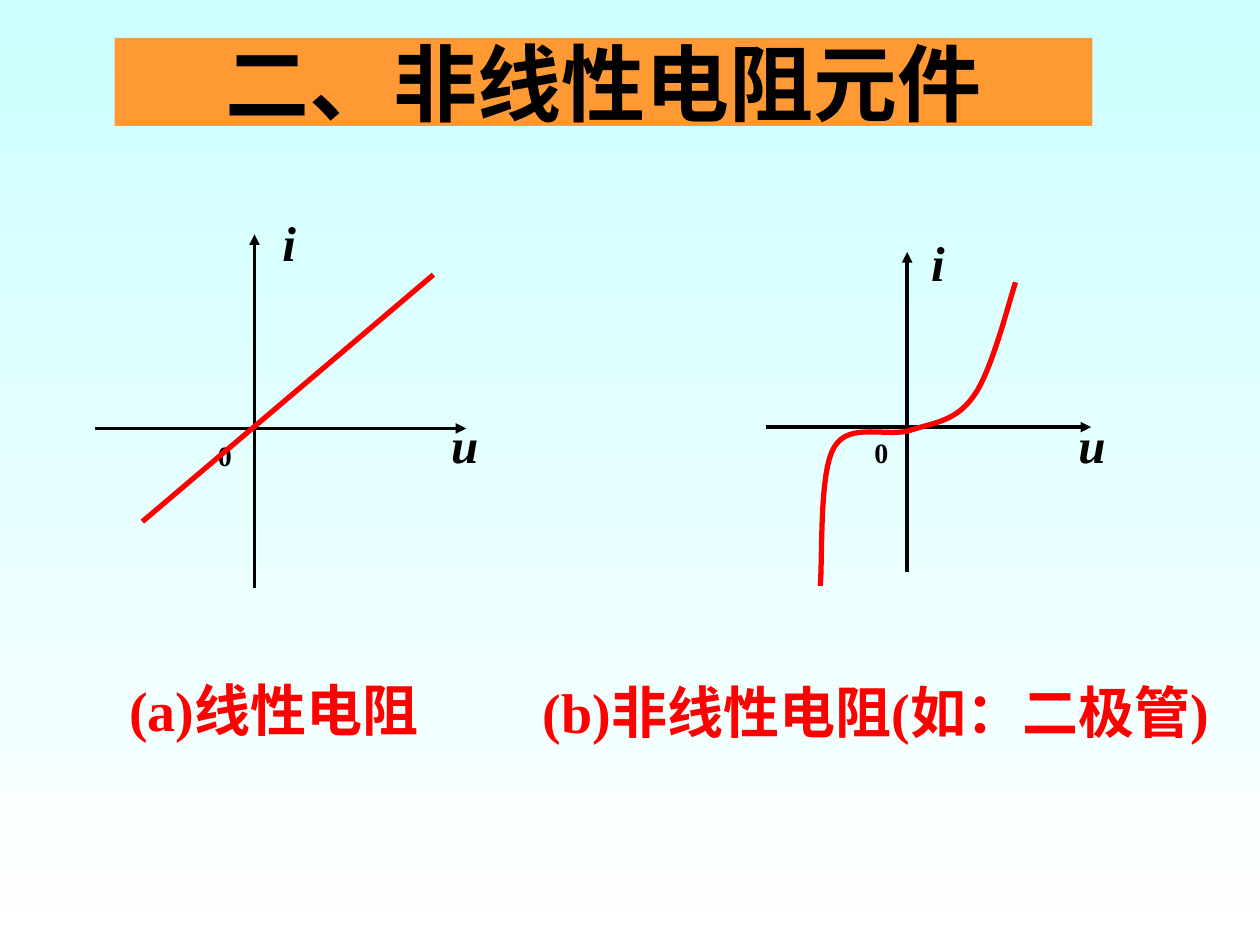
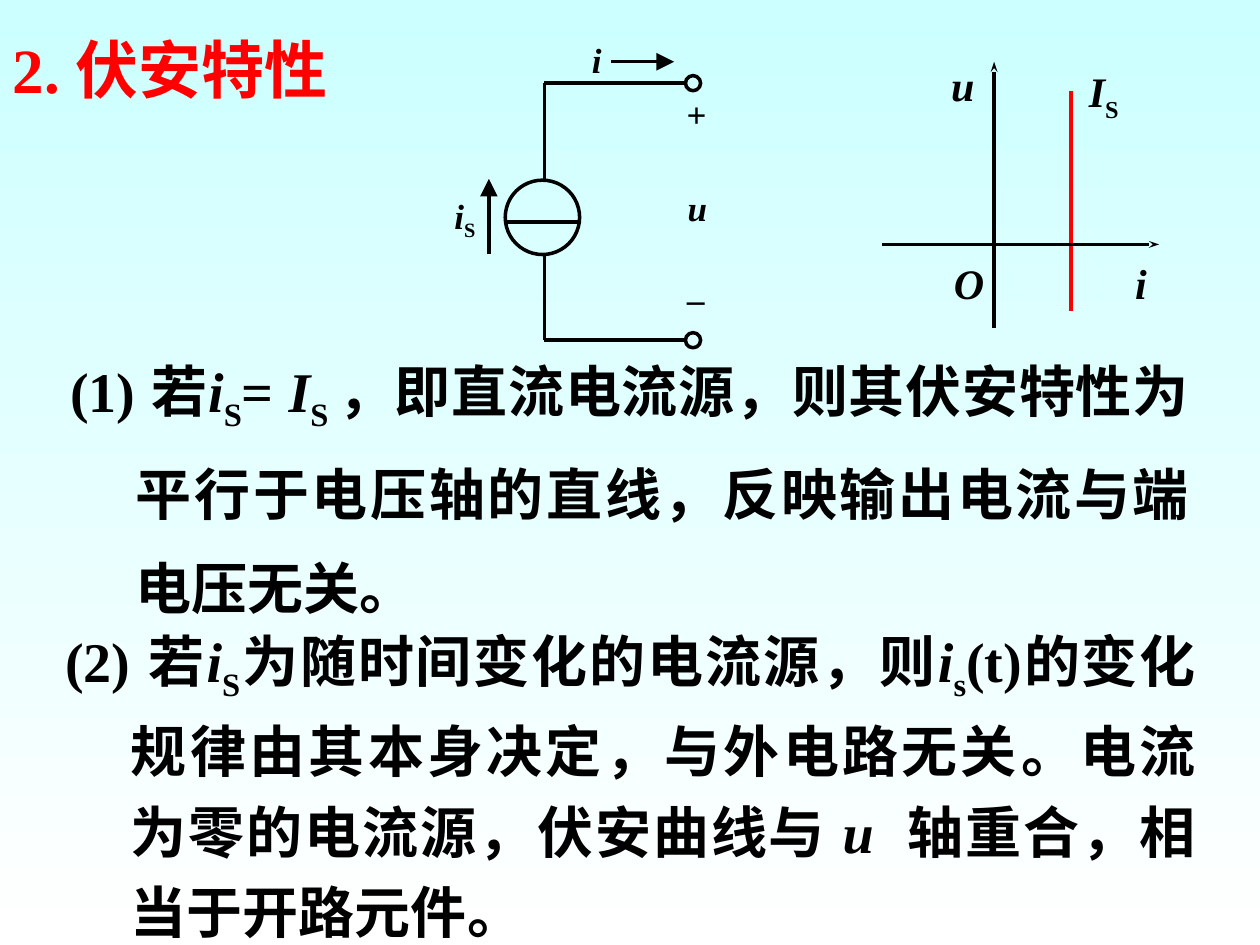
from lxml import etree
from pptx import Presentation
from pptx import util as u
from pptx.dml.color import RGBColor
from pptx.enum import shapes, text
from pptx.oxml.ns import qn

SKY = RGBColor(0xCC, 0xFF, 0xFF)
WHITE = RGBColor(0xFF, 0xFF, 0xFF)
ORANGE = RGBColor(0xFF, 0x99, 0x33)
BLACK = RGBColor(0, 0, 0)
RED = RGBColor(0xFF, 0, 0)
LATIN = "Times New Roman"
HAN = "Noto Sans CJK SC"

SLIDE_WIDTH, SLIDE_HEIGHT = u.Inches(10), u.Inches(7.5)
COLUMNS = 100
CELL = SLIDE_WIDTH // COLUMNS

LEFT, CENTER, JUSTIFY = text.PP_ALIGN.LEFT, text.PP_ALIGN.CENTER, text.PP_ALIGN.JUSTIFY
MIDDLE, TOP = text.MSO_ANCHOR.MIDDLE, text.MSO_ANCHOR.TOP
RUN_STYLES = {
    "plain": {},
    "italic": {"italic": True},
    "sub": {"baseline": -25000},
    "han": {"name": HAN},
}
ARROWS = {
    "axis": {"type": "triangle", "w": "med", "len": "med"},
    "thin axis": {"type": "stealth", "w": "sm", "len": "med"},
    "current": {"type": "triangle", "w": "lg", "len": "lg"},
}

BANNER = ("二、非线性电阻元件", (9.1, 3, 77.6, 7))
CAPTIONS = [
    ("(a)线性电阻", (7.5, 53.1, 28.5, 6.4), CENTER),
    ("(b)非线性电阻(如：二极管)", (42.1, 53.3, 57.7, 11.7), LEFT),
]
RESISTOR_GRAPHS = [
    {
        "origin": (20.2, 34), "across": (7.5, 37), "up": (46.7, 18.6), "label_width": 4.2,
        "labels": [("u", 35.8, 32.4, 28), ("0", 17.3, 34.3, 16), ("i", 22.4, 16.4, 28)],
    },
    {
        "origin": (72, 33.9), "across": (60.8, 86.6), "up": (45.4, 20), "label_width": 3.6,
        "labels": [("u", 85.6, 32.4, 28), ("0", 69.4, 34.1, 16), ("i", 73.9, 18, 28)],
    },
]
LABEL_HEIGHTS = {28: 5.7, 16: 3.7}
LINEAR_CURVE = ((34.4, 21.8), (11.3, 41.4))
DIODE_CURVE = [
    (80.6, 22.4), (80.1, 23.9), (78.7, 29.5), (77.3, 31.4),
    (75.9, 33.4), (74.3, 33.5), (72.4, 34.1),
    (70.6, 34.8), (67.4, 33.4), (66.2, 35.5),
    (65, 37.5), (65.3, 44.2), (65.1, 46.5),
]
STEPS_PER_CURVE = 16

HEADING = ("2. 伏安特性", (-0.6, 1.9, 28.2, 7))
STATEMENTS = [
    {
        "box": (4.6, 25.3, 90.8, 24.5), "spacing": 1.4,
        "runs": [
            ("(1) 若", "plain"), ("i", "italic"), ("S", "sub"), ("= ", "plain"),
            ("I", "italic"), ("S ", "sub"),
            ("，即直流电流源，则其伏安特性为平行于电压轴的直线，反映输出电流与端电压无关。", "plain"),
        ],
    },
    {
        "box": (4.2, 48, 91.7, 27.5), "spacing": 1.2,
        "runs": [
            ("(2) 若", "plain"), ("i", "italic"), ("S", "sub"),
            ("为随时间变化的电流源，则", "plain"), ("i", "italic"), ("s", "sub"),
            ("(t)的变化规律由其本身决定，与外电路无关", "plain"), ("。", "han"),
            ("电流为零的电流源，伏安曲线与 ", "plain"), ("u  ", "italic"),
            ("轴重合，相当于开路元件", "plain"), ("。", "han"),
        ],
    },
]
SOURCE_GRAPH = {"origin": (78.9, 19.4), "across": (70, 92), "up": (26, 4.9)}
SOURCE_GRAPH_LABELS = [
    ("u", (74.5, 4.2, 3.8, 5)),
    ("i", (89.1, 19.9, 2.9, 5)),
    ("O", (74.7, 19.9, 4.4, 5)),
]
CONSTANT_CURRENT = ((85, 24.7), (85, 7.2))
CONSTANT_LABEL_BOX = (84.1, 4.8, 7, 5.4)

WIRE_LEFT, WIRE_RIGHT = 43.2, 54.4
WIRE_TOP, WIRE_BOTTOM = 6.6, 27
SOURCE_RING = (40.1, 14.3, 5.9)
SOURCE_BAR = 17.6
TERMINAL = 1.2
CURRENT_ARROWS = [((48.5, 4.9), (53.5, 4.9)), ((38.8, 20.2), (38.8, 14.2))]
CIRCUIT_LABELS = [
    ([("i", "italic"), ("S", "sub")], (33.9, 14.9, 6, 4.8), 0),
    ([("i", "italic")], (46, 2.5, 2.7, 4.4), 0),
    ([("u", "italic")], (53.6, 14.3, 3.5, 4.4), 0),
    ([("+", "italic")], (53.5, 7.2, 3.6, 4.4), 180),
    ([("_", "italic")], (53.7, 20.5, 3.4, 4.4), 0),
]


def grid(*cells):
    return [round(cell * CELL) for cell in cells]


def set_all(target, values):
    for name, value in values.items():
        setattr(target, name, value)


def write(shape, runs, size, color=BLACK, align=CENTER, anchor=MIDDLE, wrap=True,
          inset=0.1, spacing=None, hanging=0, grow=True):
    frame = shape.text_frame
    set_all(frame, {
        "word_wrap": wrap, "vertical_anchor": anchor,
        "margin_left": u.Inches(inset), "margin_right": u.Inches(inset),
        "auto_size": text.MSO_AUTO_SIZE.SHAPE_TO_FIT_TEXT if grow else text.MSO_AUTO_SIZE.NONE,
    })
    paragraph = frame.paragraphs[0]
    set_all(paragraph, {"alignment": align, "line_spacing": spacing})
    if hanging:
        properties = paragraph._p.get_or_add_pPr()
        properties.set("marL", str(u.Inches(hanging)))
        properties.set("indent", str(-u.Inches(hanging)))
    for words, style in runs:
        run = paragraph.add_run()
        run.text = words
        values = {"name": LATIN, "size": u.Pt(size), "bold": True, "italic": False}
        values.update(RUN_STYLES[style])
        baseline = values.pop("baseline", None)
        set_all(run.font, values)
        run.font.color.rgb = color
        properties = run._r.get_or_add_rPr()
        etree.SubElement(properties, qn("a:ea"), typeface=HAN)
        if baseline:
            properties.set("baseline", str(baseline))


def add_text(canvas, runs, box, size, rotation=0, **options):
    shape = canvas.add_textbox(*grid(*box))
    shape.rotation = rotation
    write(shape, runs, size, **options)


def add_line(canvas, start, end, color=BLACK, width=2, arrow=None):
    line = canvas.add_connector(shapes.MSO_CONNECTOR.STRAIGHT, *grid(*start, *end))
    line.line.color.rgb = color
    line.line.width = u.Pt(width)
    if arrow:
        etree.SubElement(line.line._get_or_add_ln(), qn("a:tailEnd"), ARROWS[arrow])
    etree.SubElement(line._element.spPr, qn("a:effectLst"))


def outline(shape, color=BLACK, width=2):
    shape.shadow.inherit = False
    shape.fill.background()
    shape.line.color.rgb = color
    shape.line.width = u.Pt(width)


def add_ring(canvas, left, top, size):
    outline(canvas.add_shape(shapes.MSO_SHAPE.OVAL, *grid(left, top, size, size)))


def add_axes(canvas, graph, arrow):
    x, y = graph["origin"]
    left, right = graph["across"]
    bottom, top = graph["up"]
    add_line(canvas, (left, y), (right, y), arrow=arrow)
    add_line(canvas, (x, bottom), (x, top), arrow=arrow)


def bezier(controls, share):
    rest = 1 - share
    weights = (rest ** 3, 3 * rest ** 2 * share, 3 * rest * share ** 2, share ** 3)
    return grid(*(sum(w * value for w, value in zip(weights, axis)) for axis in zip(*controls)))


def add_curve(canvas, controls):
    points = [
        bezier(controls[first:first + 4], step / STEPS_PER_CURVE)
        for first in range(0, len(controls) - 1, 3)
        for step in range(1, STEPS_PER_CURVE + 1)
    ]
    builder = canvas.build_freeform(*grid(*controls[0]))
    builder.add_line_segments(points, close=False)
    outline(builder.convert_to_shape(), RED, 3)


def add_slide(presentation):
    slide = presentation.slides.add_slide(presentation.slide_layouts[6])
    fill = slide.background.fill
    fill.gradient()
    fill.gradient_angle = 270
    for stop, color, position in zip(fill.gradient_stops, (SKY, WHITE), (0, 1)):
        stop.color.rgb = color
        stop.position = position
    return slide.shapes


def build_resistors(canvas):
    title, box = BANNER
    banner = canvas.add_shape(shapes.MSO_SHAPE.RECTANGLE, *grid(*box))
    banner.shadow.inherit = False
    banner.fill.solid()
    banner.fill.fore_color.rgb = ORANGE
    banner.line.fill.background()
    write(banner, [(title, "han")], 48, grow=False)

    for graph in RESISTOR_GRAPHS:
        group = canvas.add_group_shape().shapes
        add_axes(group, graph, "axis")
        for label, left, top, size in graph["labels"]:
            style = "plain" if label == "0" else "italic"
            box = (left, top, graph["label_width"], LABEL_HEIGHTS[size])
            add_text(group, [(label, style)], box, size, align=LEFT, anchor=TOP, inset=0)
    add_line(canvas, *LINEAR_CURVE, color=RED, width=3)
    add_curve(canvas, DIODE_CURVE)
    for caption, box, align in CAPTIONS:
        add_text(canvas, [(caption, "plain")], box, 32, color=RED, align=align, anchor=TOP)


def build_circuit(canvas):
    ring_left, ring_top, ring_size = SOURCE_RING
    for y in (WIRE_TOP, WIRE_BOTTOM):
        add_line(canvas, (WIRE_RIGHT, y), (WIRE_LEFT, y))
        add_ring(canvas, WIRE_RIGHT, y - TERMINAL / 2, TERMINAL)
    add_line(canvas, (WIRE_LEFT, ring_top), (WIRE_LEFT, WIRE_TOP))
    add_line(canvas, (WIRE_LEFT, WIRE_BOTTOM), (WIRE_LEFT, ring_top + ring_size))
    add_ring(canvas, *SOURCE_RING)
    add_line(canvas, (ring_left + ring_size, SOURCE_BAR), (ring_left, SOURCE_BAR))
    for start, end in CURRENT_ARROWS:
        add_line(canvas, start, end, arrow="current")
    for runs, box, rotation in CIRCUIT_LABELS:
        add_text(canvas, runs, box, 20, rotation, wrap=runs[0][0] == "_")


def build_current_source(canvas):
    heading, box = HEADING
    add_text(canvas, [(heading, "plain")], box, 36, color=RED, wrap=False)
    for statement in STATEMENTS:
        add_text(canvas, statement["runs"], statement["box"], 32, align=JUSTIFY,
                 spacing=statement["spacing"], hanging=0.52)

    add_line(canvas, *CONSTANT_CURRENT, color=RED, width=2.5)
    add_text(canvas, [("I", "italic"), ("S", "sub")], CONSTANT_LABEL_BOX, 24, wrap=False)
    group = canvas.add_group_shape().shapes
    add_axes(group, SOURCE_GRAPH, "thin axis")
    for label, box in SOURCE_GRAPH_LABELS:
        add_text(group, [(label, "italic")], box, 24, wrap=False)
    build_circuit(canvas.add_group_shape().shapes)


def main():
    presentation = Presentation()
    set_all(presentation, {"slide_width": SLIDE_WIDTH, "slide_height": SLIDE_HEIGHT})
    for build in (build_resistors, build_current_source):
        build(add_slide(presentation))
    presentation.save("out.pptx")


if __name__ == "__main__":
    main()
